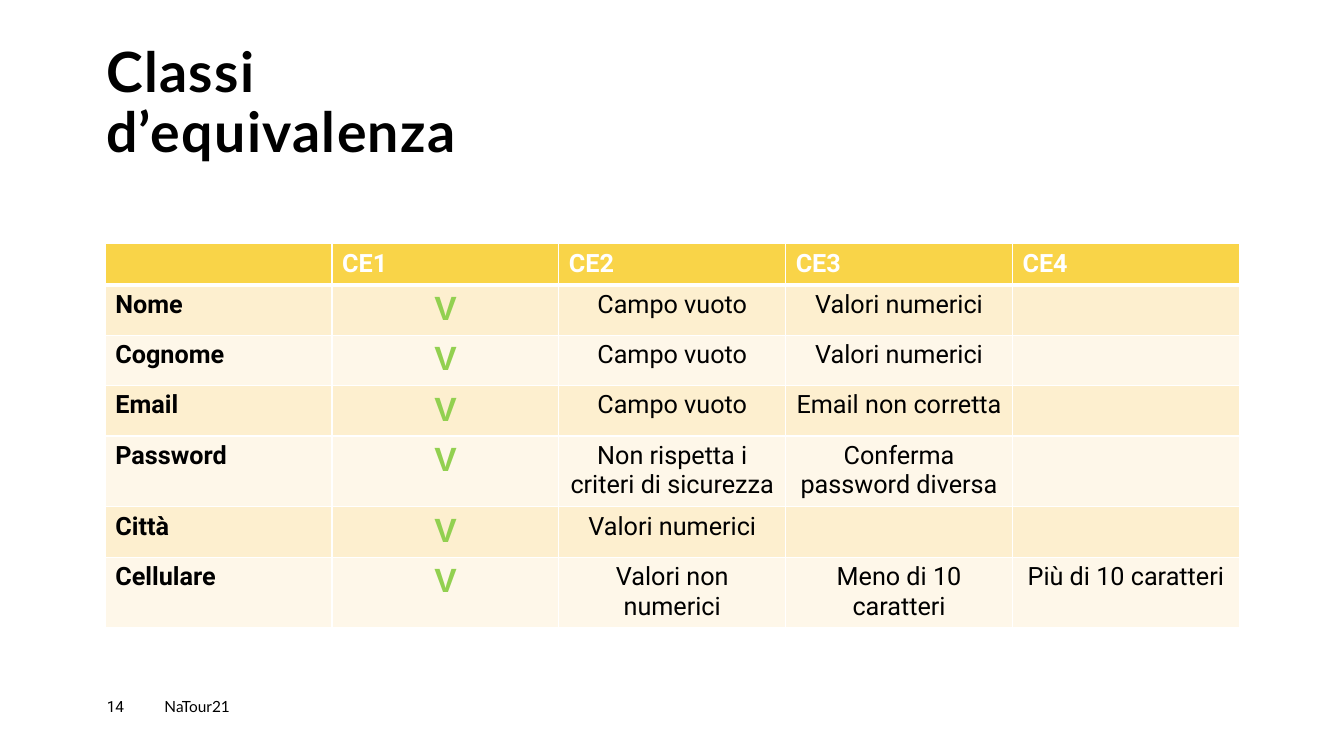
from lxml.etree import SubElement
from pptx import Presentation
from pptx.dml.color import RGBColor
from pptx.enum.text import MSO_ANCHOR as Anchor, PP_ALIGN as Align
from pptx.oxml.ns import qn
from pptx.util import Pt

BLACK = RGBColor(0x00, 0x00, 0x00)
WHITE = RGBColor(0xFF, 0xFF, 0xFF)
GOLD = RGBColor(0xF9, 0xD4, 0x48)
SAND = RGBColor(0xFD, 0xEF, 0xCF)
CREAM = RGBColor(0xFE, 0xF7, 0xE9)
GREEN = RGBColor(0x92, 0xD0, 0x50)

CLASSES = [
    ["", "CE1", "CE2", "CE3", "CE4"],
    ["Nome", "V", "Campo vuoto", "Valori numerici", ""],
    ["Cognome", "V", "Campo vuoto", "Valori numerici", ""],
    ["Email", "V", "Campo vuoto", "Email non corretta", ""],
    ["Password", "V", "Non rispetta i criteri di sicurezza",
     "Conferma password diversa", ""],
    ["Città", "V", "Valori numerici", "", ""],
    ["Cellulare", "V", "Valori non numerici", "Meno di 10 caratteri",
     "Più di 10 caratteri"],
]
COLUMN_WIDTH = 162
ROW_HEIGHT = 29.2


class SlideBuilder:
    def __init__(self, slide):
        self.slide = slide

    def fill_paragraph(self, paragraph, words, size, font="Roboto",
                       color=BLACK, bold=False, align=Align.LEFT):
        paragraph.text = words
        paragraph.alignment = align
        style = paragraph.font
        style.name, style.size, style.bold = font, Pt(size), bold
        style.color.rgb = color

    def text(self, left, top, width, height, words, size,
             anchor=Anchor.TOP, **style):
        box = self.slide.shapes.add_textbox(
            Pt(left), Pt(top), Pt(width), Pt(height))
        frame = box.text_frame
        frame.word_wrap = True
        frame.vertical_anchor = anchor
        frame.margin_left = frame.margin_right = 0
        frame.margin_top = frame.margin_bottom = 0
        paragraph = frame.paragraphs[0]
        self.fill_paragraph(paragraph, words, size, **style)
        return paragraph

    def border(self, cell, side, width):
        line = SubElement(cell._tc.get_or_add_tcPr(), qn(f"a:ln{side}"),
                          w=str(Pt(width)))
        fill = SubElement(line, qn("a:solidFill"))
        SubElement(fill, qn("a:srgbClr"), val=str(WHITE))

    def cell_style(self, row, column):
        if row == 0:
            return dict(size=18, color=WHITE, bold=True)
        if column == 0:
            return dict(size=18, bold=True)
        if column == 1:
            return dict(size=24, font="Arial", color=GREEN, bold=True,
                        align=Align.CENTER)
        return dict(size=18, align=Align.CENTER)

    def table(self, left, top, rows):
        count = len(rows[0])
        table = self.slide.shapes.add_table(
            len(rows), count, Pt(left), Pt(top),
            Pt(COLUMN_WIDTH * count), Pt(ROW_HEIGHT * len(rows))).table
        table.first_row = table.horz_banding = False
        for r, row in enumerate(rows):
            for c, words in enumerate(row):
                cell = table.cell(r, c)
                self.fill_paragraph(cell.text_frame.paragraphs[0], words,
                                    **self.cell_style(r, c))
                # The rule under the header is thicker than the grid.
                widths = {"L": 1, "R": 1, "T": 3 if r == 1 else 1,
                          "B": 3 if r == 0 else 1}
                for side, width in widths.items():
                    self.border(cell, side, width)
                cell.fill.solid()
                cell.fill.fore_color.rgb = (
                    GOLD if r == 0 else SAND if r % 2 else CREAM)


def main():
    deck = Presentation()
    deck.slide_width, deck.slide_height = Pt(960), Pt(540)
    builder = SlideBuilder(deck.slides.add_slide(deck.slide_layouts[6]))

    title = builder.text(75.9, 24.5, 360, 92.9, "Classi d’equivalenza", 39.6,
                         anchor=Anchor.BOTTOM, font="Lato", bold=True)
    title.line_spacing = 0.9
    title.runs[0].font._element.set("spc", "100")

    builder.table(75.2, 174.2, CLASSES)
    builder.text(117.5, 498.2, 118, 19.4, "NaTour21", 11, font="Lato")
    builder.text(76.3, 498.2, 41, 19.4, "14", 11)
    deck.save("out.pptx")


if __name__ == "__main__":
    main()
